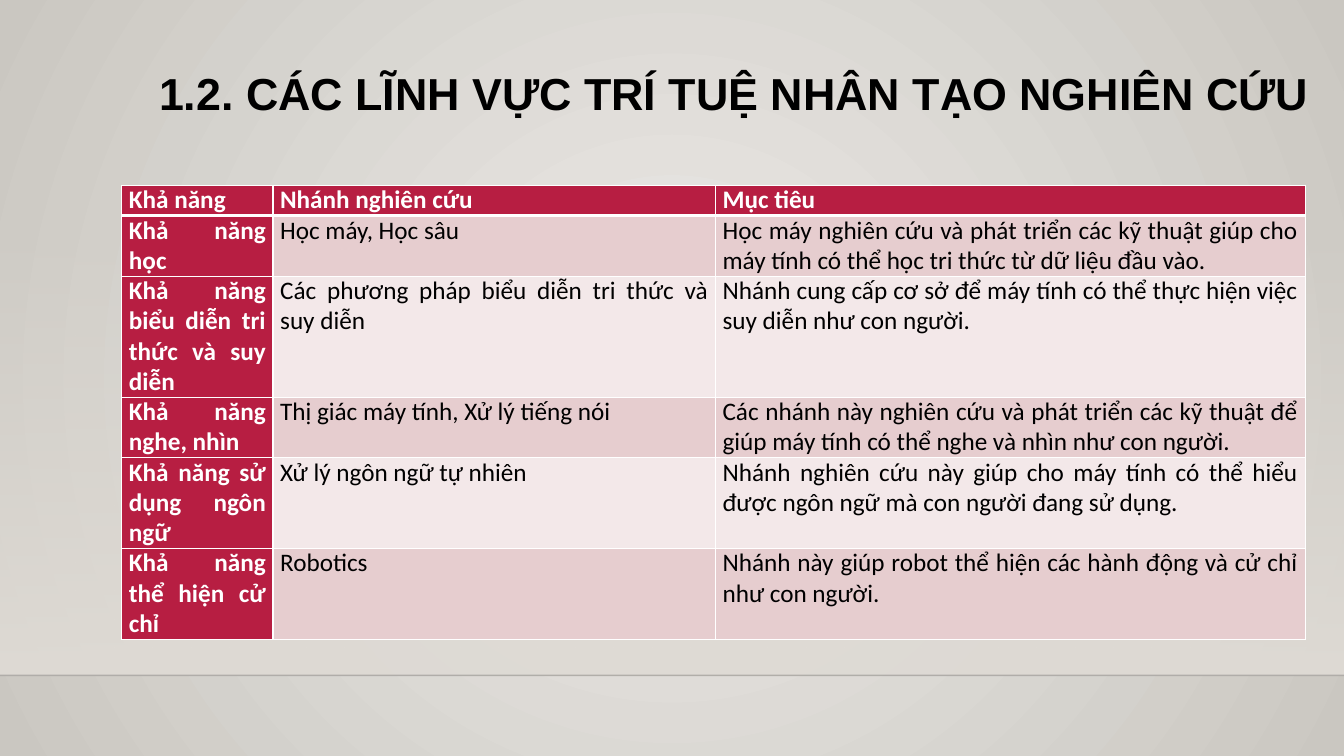
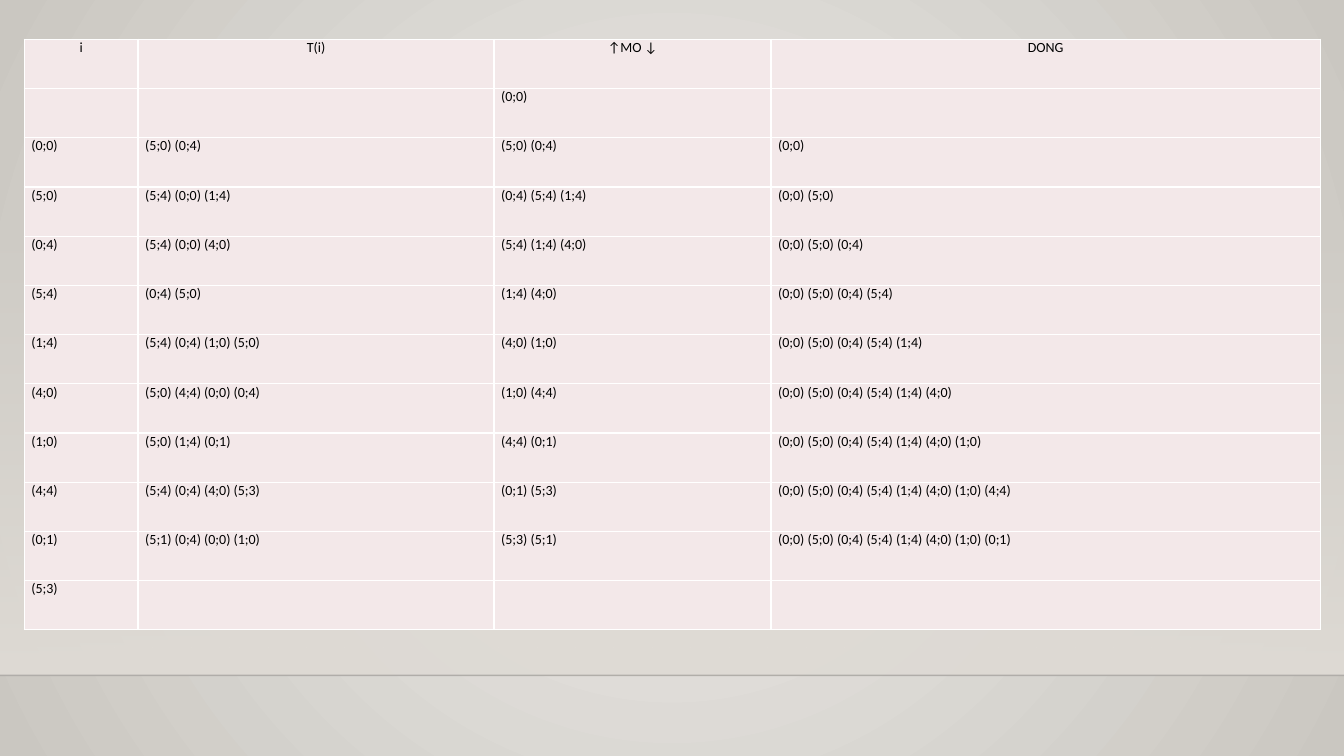
"""Build two slides on AI research fields and a search trace."""
from lxml.etree import SubElement
from pptx import Presentation
from pptx.dml.color import RGBColor
from pptx.enum.shapes import MSO_CONNECTOR as Link, MSO_SHAPE as Shape
from pptx.enum.text import PP_ALIGN as Align
from pptx.oxml.ns import qn
from pptx.util import Cm, Pt

BLACK = RGBColor(0x00, 0x00, 0x00)
WHITE = RGBColor(0xFF, 0xFF, 0xFF)
LIGHT = RGBColor(0xEC, 0xEA, 0xE7)
DARK = RGBColor(0xCA, 0xC7, 0xC1)
SAND = RGBColor(0xDF, 0xDB, 0xD5)
EDGE = RGBColor(0x00, 0x00, 0x01)
RED = RGBColor(0xB7, 0x1E, 0x42)
ROSE = RGBColor(0xE6, 0xCD, 0xCF)
PALE = RGBColor(0xF3, 0xE8, 0xE9)

WIDE, HIGH = Cm(33.87), Cm(19.05)
FLOOR = Cm(17.02)
LINE = 0.76

TITLE = "1.2. CÁC LĨNH VỰC TRÍ TUỆ NHÂN TẠO NGHIÊN CỨU"
FIELDS = [
    ("Khả năng", "Nhánh nghiên cứu", "Mục tiêu"),
    ("Khả năng học", "Học máy, Học sâu",
     "Học máy nghiên cứu và phát triển các kỹ thuật giúp cho máy tính "
     "có thể học tri thức từ dữ liệu đầu vào."),
    ("Khả năng biểu diễn tri thức và suy diễn",
     "Các phương pháp biểu diễn tri thức và suy diễn",
     "Nhánh cung cấp cơ sở để máy tính có thể thực hiện việc suy diễn "
     "như con người."),
    ("Khả năng nghe, nhìn", "Thị giác máy tính, Xử lý tiếng nói",
     "Các nhánh này nghiên cứu và phát triển các kỹ thuật để giúp máy tính "
     "có thể nghe và nhìn như con người."),
    ("Khả năng sử dụng ngôn ngữ", "Xử lý ngôn ngữ tự nhiên",
     "Nhánh nghiên cứu này giúp cho máy tính có thể hiểu được ngôn ngữ "
     "mà con người đang sử dụng."),
    ("Khả năng thể hiện cử chỉ", "Robotics",
     "Nhánh này giúp robot thể hiện các hành động và cử chỉ như con người."),
]
LINES = [1, 2, 4, 2, 3, 3]
TRACE = [
    ("i", "T(i)", "↑MO ↓", "DONG"),
    ("", "", "(0;0)", ""),
    ("(0;0)", "(5;0) (0;4)", "(5;0) (0;4)", "(0;0)"),
    ("(5;0)", "(5;4) (0;0) (1;4)", "(0;4) (5;4) (1;4)", "(0;0) (5;0)"),
    ("(0;4)", "(5;4) (0;0) (4;0)", "(5;4) (1;4) (4;0)", "(0;0) (5;0) (0;4)"),
    ("(5;4)", "(0;4) (5;0)", "(1;4) (4;0)", "(0;0) (5;0) (0;4) (5;4)"),
    ("(1;4)", "(5;4) (0;4) (1;0) (5;0)", "(4;0) (1;0)",
     "(0;0) (5;0) (0;4) (5;4) (1;4)"),
    ("(4;0)", "(5;0) (4;4) (0;0) (0;4)", "(1;0) (4;4)",
     "(0;0) (5;0) (0;4) (5;4) (1;4) (4;0)"),
    ("(1;0)", "(5;0) (1;4) (0;1)", "(4;4) (0;1)",
     "(0;0) (5;0) (0;4) (5;4) (1;4) (4;0) (1;0)"),
    ("(4;4)", "(5;4) (0;4) (4;0) (5;3)", "(0;1) (5;3)",
     "(0;0) (5;0) (0;4) (5;4) (1;4) (4;0) (1;0) (4;4)"),
    ("(0;1)", "(5;1) (0;4) (0;0) (1;0)", "(5;3) (5;1)",
     "(0;0) (5;0) (0;4) (5;4) (1;4) (4;0) (1;0) (0;1)"),
    ("(5;3)", "", "", ""),
]


def write(frame, text, size=18, face="Calibri", color=BLACK, bold=False,
          align=Align.JUSTIFY, space=None):
    para = frame.paragraphs[0]
    para.alignment = align
    para.line_spacing = space
    font = para.add_run().font if text else para.font
    if text:
        para.runs[0].text = text
    font.size, font.name, font.bold = Pt(size), face, bold
    font.color.rgb = color


def blend(fill, first, last):
    fill.gradient()
    for stop, color, place in zip(fill.gradient_stops, (first, last), (0, 1)):
        stop.color.rgb, stop.position = color, place


def fade(part, alpha):
    color = next(part.iter(qn("a:srgbClr")))
    SubElement(color, qn("a:alpha")).set("val", str(alpha * 1000))


def paint(master):
    fill = master.background.fill
    blend(fill, LIGHT, DARK)
    grad = next(master.element.iter(qn("a:gradFill")))
    grad.remove(grad.find(qn("a:lin")))
    ring = SubElement(grad, qn("a:path"), path="circle")
    SubElement(ring, qn("a:fillToRect"), l="50000", t="50000", r="50000", b="50000")


def start(deck):
    slide = deck.slides.add_slide(deck.slide_layouts[6])
    top = Cm(5.61)
    band = slide.shapes.add_shape(Shape.RECTANGLE, 0, top, WIDE, FLOOR - top)
    band.shadow.inherit = False
    band.line.fill.background()
    blend(band.fill, SAND, SAND)
    band.fill.gradient_angle = 270
    fade(band.element.spPr, 0)
    rule = slide.shapes.add_connector(Link.STRAIGHT, 0, FLOOR, WIDE, FLOOR)
    rule.line.color.rgb, rule.line.width = EDGE, Pt(1)
    fade(rule.element.spPr, 20)
    SubElement(rule.element.spPr, qn("a:effectLst"))
    return slide


def border(cell, widths):
    props = cell._tc.get_or_add_tcPr()
    for side, width in widths.items():
        line = SubElement(props, qn(f"a:ln{side}"), w=str(Pt(width)))
        solid = SubElement(line, qn("a:solidFill"))
        SubElement(solid, qn("a:srgbClr"), val=str(WHITE))


def grid(slide, rows, left, top, cols, highs, style, heavy=False):
    frame = slide.shapes.add_table(len(rows), len(cols), Cm(left), Cm(top),
                                   Cm(sum(cols)), Cm(sum(highs)))
    table = frame.table
    table.first_row = table.horz_banding = False
    for col, width in zip(table.columns, cols):
        col.width = Cm(width)
    for r, (row, high) in enumerate(zip(rows, highs)):
        table.rows[r].height = Cm(high)
        for c, text in enumerate(row):
            cell = table.cell(r, c)
            cell.margin_left = cell.margin_right = Cm(0.18)
            cell.margin_top = cell.margin_bottom = 0
            border(cell, {"L": 1, "R": 1, "T": 3 if heavy and r == 1 else 1,
                          "B": 3 if heavy and r == 0 else 1})
            fill, look = style(r, c)
            cell.fill.solid()
            cell.fill.fore_color.rgb = fill
            write(cell.text_frame, text, **look)


def field(r, c):
    look = {"space": Pt(21.6)}
    if r == 0 or c == 0:
        return RED, {**look, "color": WHITE, "bold": True}
    return (ROSE if r % 2 else PALE), look


def step(r, c):
    return PALE, {"size": 10, "align": Align.JUSTIFY if r else Align.CENTER}


def main():
    deck = Presentation()
    deck.slide_width, deck.slide_height = WIDE, HIGH
    paint(deck.slide_master)

    slide = start(deck)
    box = slide.shapes.add_textbox(Cm(3.76), Cm(1.52), Cm(31.27), Cm(2.39))
    box.text_frame.word_wrap = True
    write(box.text_frame, TITLE, size=32, face="Arial", bold=True, align=Align.LEFT)
    grid(slide, FIELDS, 3.07, 4.67, [3.81, 11.15, 14.86],
         [LINE * n for n in LINES], field, heavy=True)

    slide = start(deck)
    grid(slide, TRACE, 0.61, 0.99, [2.87, 8.97, 6.98, 13.84],
         [1.24] * len(TRACE), step)
    deck.save("out.pptx")


if __name__ == "__main__":
    main()
